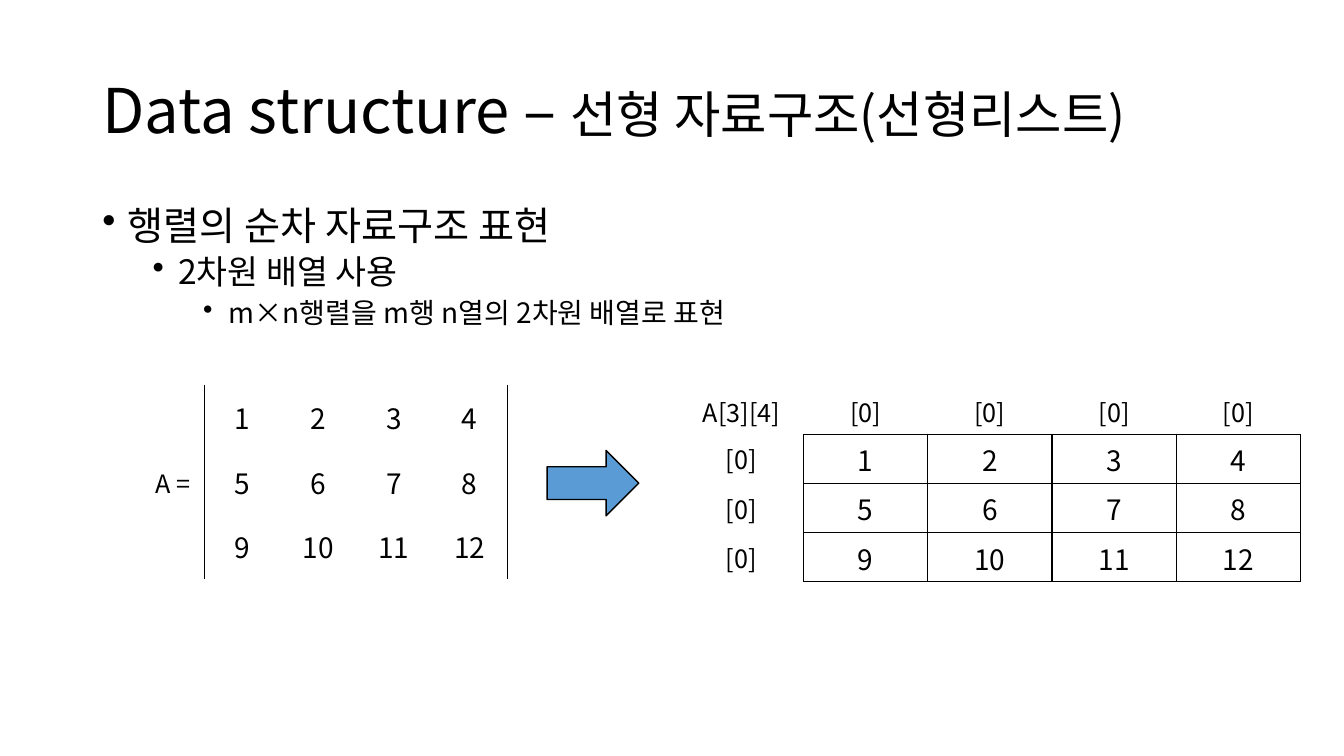
from lxml import etree
from pptx import Presentation
from pptx.dml.color import RGBColor
from pptx.enum.shapes import MSO_SHAPE
from pptx.enum.text import MSO_ANCHOR, PP_ALIGN
from pptx.oxml.ns import qn
from pptx.util import Cm, Pt

FONT = "Noto Sans CJK KR"
BLACK, WHITE, BLUE = "000000", "FFFFFF", "5B9BD5"
MIDDLE, CENTER = MSO_ANCHOR.MIDDLE, PP_ALIGN.CENTER
ARROW = MSO_SHAPE.RIGHT_ARROW
ROWS, COLS = 3, 4
VALUES = [[str(r * COLS + c + 1) for c in range(COLS)] for r in range(ROWS)]
POINTS = ["행렬의 순차 자료구조 표현", "2차원 배열 사용",
          "m×n행렬을 m행 n열의 2차원 배열로 표현"]


def rgb(code):
    return RGBColor.from_string(code)


def style(para, size):
    """Set size, colour and both Latin and Korean fonts."""
    font = para.font
    font.size, font.name = Pt(size), FONT
    font.color.rgb = rgb(BLACK)
    props = para._p.pPr.find(qn("a:defRPr"))
    etree.SubElement(props, qn("a:ea"), typeface=FONT)


def add_frame(slide, box):
    frame = slide.shapes.add_textbox(*map(Cm, box)).text_frame
    frame.word_wrap = True
    return frame


def add_title(slide, box):
    frame = add_frame(slide, box)
    frame.vertical_anchor = MIDDLE
    para = frame.paragraphs[0]
    para.line_spacing = 0.9
    style(para, 44)
    para.add_run().text = "Data structure – "
    run = para.add_run()
    run.text = "선형 자료구조(선형리스트)"
    run.font.size = Pt(36)


def add_points(slide, box):
    frame = add_frame(slide, box)
    for level, text in enumerate(POINTS):
        para = frame.add_paragraph() if level else frame.paragraphs[0]
        para.text, para.level = text, level
        para.line_spacing = 0.9
        para.space_before = Pt(5 if level else 10)
        style(para, 28 - 4 * level)
        props = para._p.pPr
        props.set("marL", str(Cm(0.64 + 1.27 * level)))
        props.set("indent", str(Cm(-0.64)))
        bullet = etree.Element(qn("a:buChar"), char="•")
        props.find(qn("a:defRPr")).addprevious(bullet)


def set_edges(cell, sides):
    """Draw the named sides (of L, R, T, B) and clear the others."""
    props = cell._tc.get_or_add_tcPr()
    for side in "LRTB":
        line = etree.SubElement(props, qn("a:ln" + side), w=str(Pt(1)))
        if side in sides:
            fill = etree.SubElement(line, qn("a:solidFill"))
            etree.SubElement(fill, qn("a:srgbClr"), val=BLACK)
        else:
            etree.SubElement(line, qn("a:noFill"))


def add_grid(slide, box, texts, first, edges, size):
    """Add a table; first holds the first column width and row height."""
    left, top, width, height = box
    rows, cols = len(texts), len(texts[0])
    grid = slide.shapes.add_table(rows, cols, *map(Cm, box)).table
    grid.first_row = grid.horz_banding = False
    wide, high = first
    for c, col in enumerate(grid.columns):
        col.width = Cm((width - wide) / (cols - 1) if c else wide)
    for r, row in enumerate(grid.rows):
        row.height = Cm((height - high) / (rows - 1) if r else high)
        for c, text in enumerate(texts[r]):
            cell = grid.cell(r, c)
            set_edges(cell, edges(r, c))
            cell.fill.solid()
            cell.fill.fore_color.rgb = rgb(WHITE)
            cell.vertical_anchor = MIDDLE
            para = cell.text_frame.paragraphs[0]
            para.text, para.alignment = text, CENTER
            style(para, size(r, c))
    return grid


def add_matrix(slide, box):
    texts = [["" if r else "A ="] + row for r, row in enumerate(VALUES)]
    edges = {0: "R", 1: "L", COLS: "R"}
    grid = add_grid(slide, box, texts, (1.57, box[3] / ROWS),
                    lambda r, c: edges.get(c, ""),
                    lambda r, c: 20 if c else 18)
    grid.cell(0, 0).merge(grid.cell(ROWS - 1, 0))


def add_array(slide, box):
    texts = [["A[3][4]"] + ["[0]"] * COLS]
    texts += [["[0]"] + row for row in VALUES]

    def edges(r, c):
        if r and c:
            return "LRTB"
        return "R" if r else "B" if c else ""

    add_grid(slide, box, texts, (box[2] / (COLS + 1), 1.16), edges,
             lambda r, c: 20 if r and c else 18)


def add_arrow(slide, box):
    arrow = slide.shapes.add_shape(ARROW, *map(Cm, box))
    arrow.shadow.inherit = False
    arrow.fill.solid()
    arrow.fill.fore_color.rgb = rgb(BLUE)
    arrow.line.color.rgb = rgb(BLACK)
    arrow.line.width = Pt(1)


def main():
    deck = Presentation()
    deck.slide_width, deck.slide_height = Cm(33.87), Cm(19.05)
    slide = deck.slides.add_slide(deck.slide_layouts[6])
    add_title(slide, (2.33, 1.01, 29.21, 3.68))
    add_points(slide, (2.33, 5.08, 29.21, 12.09))
    add_matrix(slide, (3.58, 9.7, 9.21, 4.89))
    add_array(slide, (17.12, 9.78, 15.65, 4.88))
    add_arrow(slide, (13.79, 11.35, 2.31, 1.65))
    deck.save("out.pptx")


if __name__ == "__main__":
    main()
